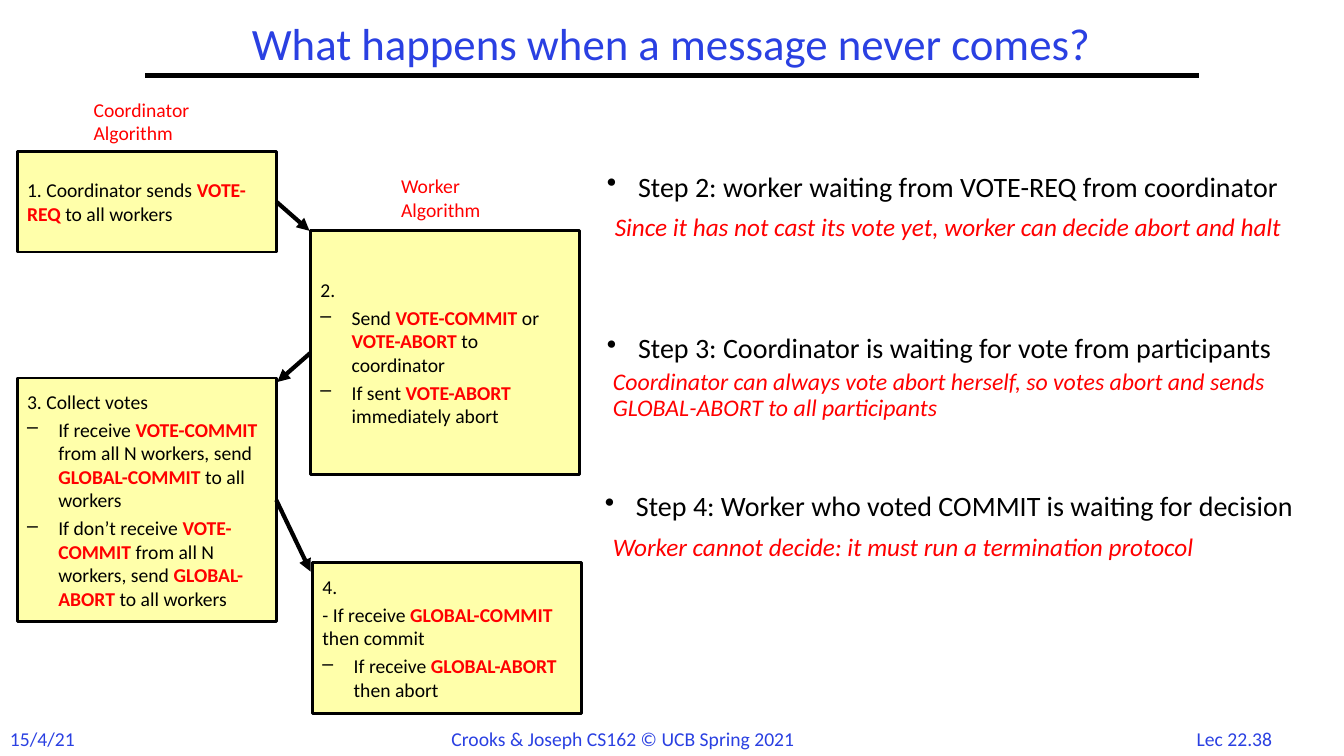
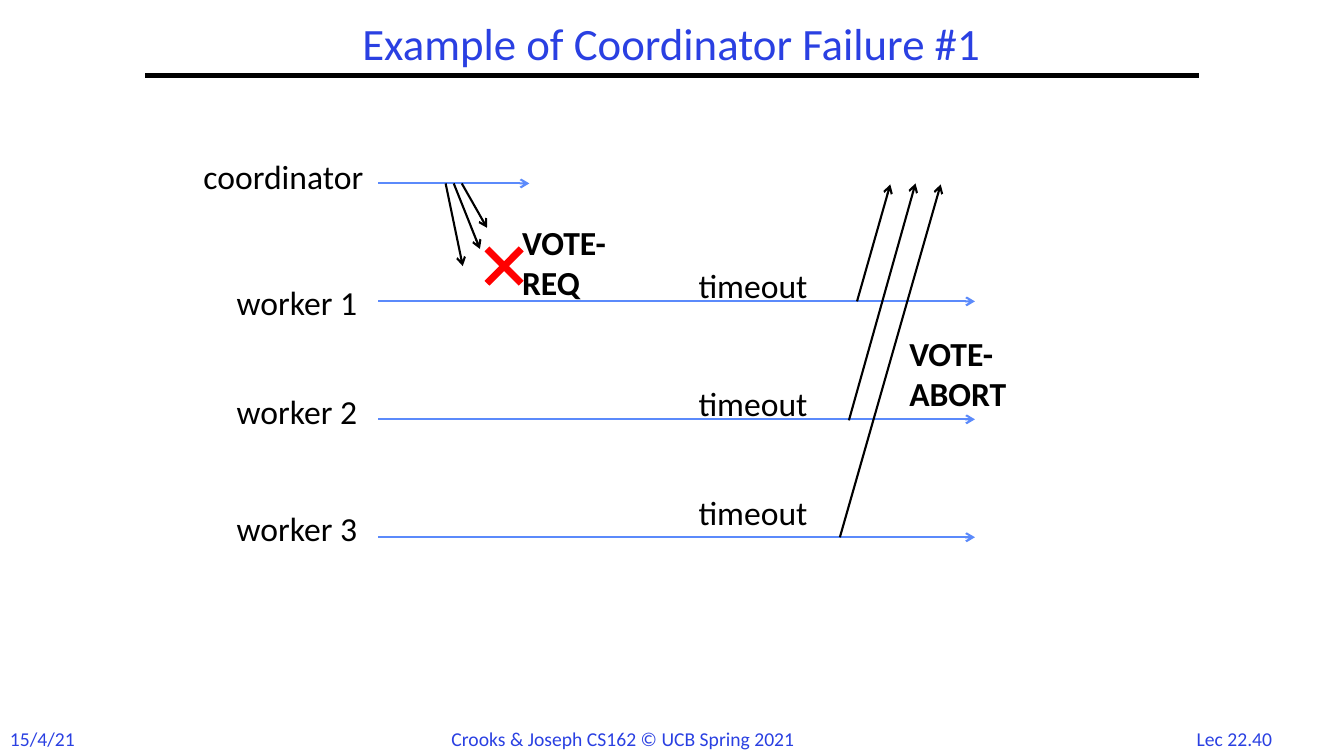
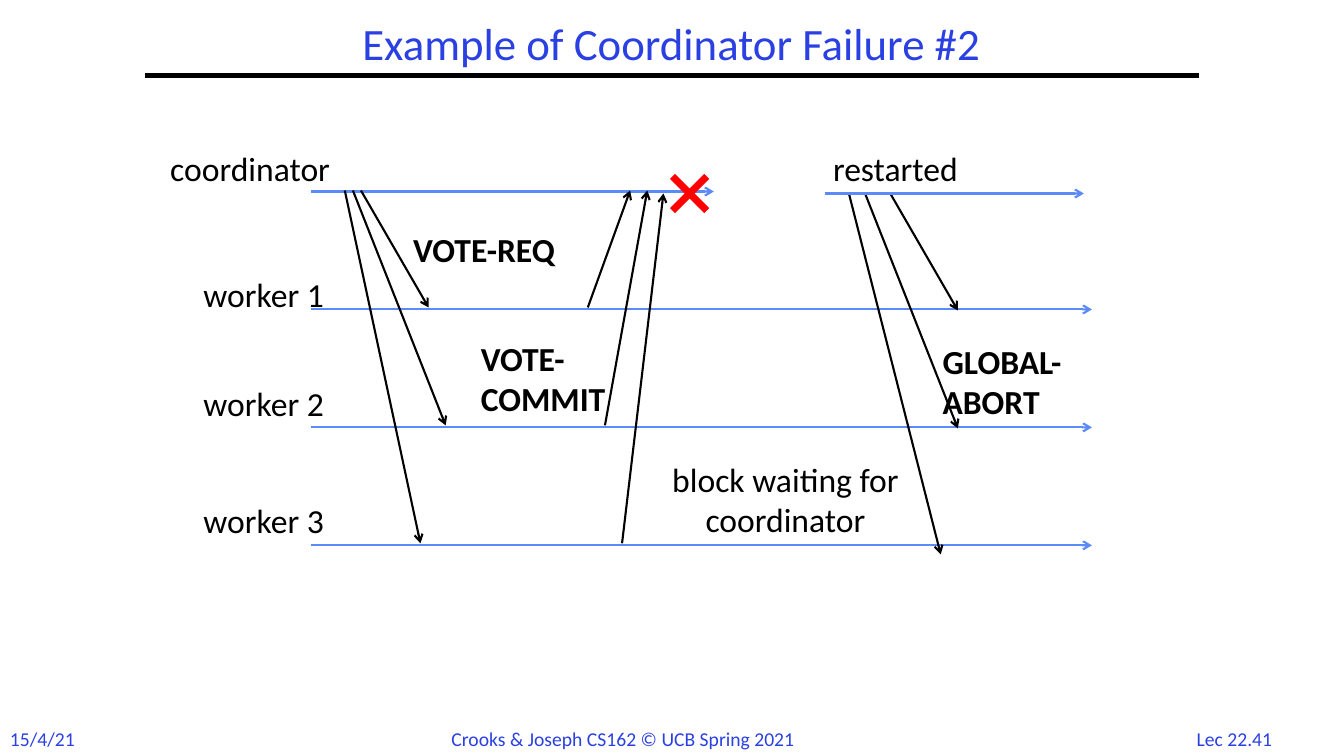
from lxml.etree import SubElement
from pptx import Presentation
from pptx.dml.color import RGBColor
from pptx.enum.shapes import MSO_CONNECTOR, MSO_SHAPE
from pptx.enum.text import MSO_ANCHOR, PP_ALIGN
from pptx.oxml.ns import qn
from pptx.util import Inches, Pt

rgb = RGBColor.from_string
BLACK, RED, BLUE, LANE_BLUE, YELLOW = "000000", "FF0000", "2A40E2", "5B8AFB", "FFFFAA"
FONT = "Calibri"
LEFT, CENTER = PP_ALIGN.LEFT, PP_ALIGN.CENTER


def write(shape, paragraphs, size, color=BLACK, bold=False, italic=False, align=LEFT,
          anchor=MSO_ANCHOR.TOP, spacing=None, wrap=True):
    """Fill a shape with text: *stars* mark bold red, a leading – or • makes a bullet."""
    frame = shape.text_frame
    frame.word_wrap = wrap
    frame.vertical_anchor = anchor
    for i, text in enumerate(paragraphs):
        paragraph = frame.paragraphs[0] if i == 0 else frame.add_paragraph()
        if text[0] in "–•":
            properties = paragraph._p.get_or_add_pPr()
            properties.set("marL", str(Inches(0.31)))
            properties.set("indent", str(-Inches(0.31)))
            SubElement(properties, qn("a:buChar")).set("char", text[0])
            text = text[2:]
        paragraph.alignment = align
        if spacing:
            paragraph.line_spacing = spacing
        if i > 0:
            paragraph.space_before = Pt(3)
        for j, part in enumerate(text.split("*")):
            if not part:
                continue
            marked = j % 2 == 1
            run = paragraph.add_run()
            run.text = part
            run.font.name = FONT
            run.font.size = Pt(size)
            run.font.bold = bold or marked
            run.font.italic = italic
            run.font.color.rgb = rgb(RED if marked else color)


def draw_line(slide, ends, color, width, arrowhead=None):
    line = slide.shapes.add_connector(MSO_CONNECTOR.STRAIGHT, *map(Inches, ends))
    line.line.color.rgb = rgb(color)
    line.line.width = Pt(width)
    properties = line._element.spPr
    if arrowhead:
        SubElement(properties.find(qn("a:ln")), qn("a:tailEnd")).set("type", arrowhead)
    SubElement(properties, qn("a:effectLst"))
    return line


deck = Presentation()
deck.slide_width, deck.slide_height = Inches(13.33), Inches(7.5)

# Shared title, rule and footer
slides = []
for title, number in [
    ("What happens when a message never comes?", "Lec 22.38"),
    ("Example of Coordinator Failure #1", "Lec 22.40"),
    ("Example of Coordinator Failure #2", "Lec 22.41"),
]:
    slide = deck.slides.add_slide(deck.slide_layouts[6])
    slides.append(slide)
    heading = slide.shapes.add_textbox(*map(Inches, (1.44, 0.17, 10.44, 0.58)))
    write(heading, [title], 32, BLUE, align=CENTER, anchor=MSO_ANCHOR.MIDDLE, spacing=0.9)
    draw_line(slide, (1.44, 0.75, 11.89, 0.75), BLACK, 3)
    for left, width, text in [
        (0, 0.85, "15/4/21"),
        (4.38, 3.63, "Crooks & Joseph CS162 © UCB Spring 2021"),
        (11.77, 1.08, number),
    ]:
        footer = slide.shapes.add_textbox(*map(Inches, (left, 7.16, width, 0.34)))
        write(footer, [text], 14, BLUE, wrap=False)

# Slide 1: the steps of both algorithms
protocol = slides[0]
steps = []
for place, paragraphs in [
    ((0.17, 1.5, 2.57, 1), ["1. Coordinator sends *VOTE-REQ *to all workers"]),
    ((3.08, 2.29, 2.67, 2.42), [
        "2.",
        "– Send *VOTE-COMMIT *or *VOTE-ABORT *to coordinator",
        "– If sent *VOTE-ABORT *immediately abort",
    ]),
    ((0.17, 3.75, 2.57, 2.42), [
        "3. Collect votes",
        "– If receive *VOTE-COMMIT *from all N workers, send *GLOBAL-COMMIT* to all workers",
        "– If don’t receive *VOTE-COMMIT *from all N workers, send *GLOBAL-ABORT *to all workers",
    ]),
    ((3.1, 5.58, 2.67, 1.5), [
        "4.",
        "- If receive *GLOBAL-COMMIT *then commit",
        "– If receive *GLOBAL-ABORT *then abort",
    ]),
]:
    step = protocol.shapes.add_shape(MSO_SHAPE.RECTANGLE, *map(Inches, place))
    step.shadow.inherit = False
    step.fill.solid()
    step.fill.fore_color.rgb = rgb(YELLOW)
    step.line.color.rgb = rgb(BLACK)
    step.line.width = Pt(2)
    write(step, paragraphs, 14, anchor=MSO_ANCHOR.MIDDLE)
    steps.append(step)

for place, text in [
    ((0.83, 0.92, 1.17, 0.57), "Coordinator Algorithm"),
    ((3.88, 1.68, 1.08, 0.57), "Worker Algorithm"),
]:
    write(protocol.shapes.add_textbox(*map(Inches, place)), [text], 14, RED)

# Arrows leave the middle of a step's side
for step, side, ends in [
    (steps[0], 3, (2.74, 2, 3.07, 2.29)),
    (steps[1], 1, (3.08, 3.5, 2.75, 3.79)),
    (steps[2], 3, (2.74, 4.96, 3.08, 5.67)),
]:
    draw_line(protocol, ends, BLACK, 3, "triangle").begin_connect(step, side)

# Slide 1: what to do at each wait
for left, top, case in [
    (5.92, 1.63, "• Step 2: worker waiting from VOTE-REQ from coordinator"),
    (5.92, 3.23, "• Step 3: Coordinator is waiting for vote from participants"),
    (5.9, 4.8, "• Step 4: Worker who voted COMMIT is waiting for decision"),
]:
    write(protocol.shapes.add_textbox(*map(Inches, (left, top, 7.3, 0.61))), [case], 20)

for left, top, width, size, spacing, answer in [
    (6, 2.05, 7.3, 18, None,
     "Since it has not cast its vote yet, worker can decide abort and halt"),
    (5.98, 3.62, 6.85, 17, 0.9,
     "Coordinator can always vote abort herself, so votes abort and sends "
     "GLOBAL-ABORT to all participants"),
    (5.98, 5.22, 7.3, 18, None, "Worker cannot decide: it must run a termination protocol"),
]:
    reply = protocol.shapes.add_textbox(*map(Inches, (left, top, width, 0.61)))
    write(reply, [answer], size, RED, italic=True, spacing=spacing)

# Slides 2 and 3: timelines with messages between coordinator and workers
LANE_GAP = 1.17
ACTORS = [(1.92, 1.5, "coordinator"), (2.25, 2.75, "worker 1"),
          (2.25, 3.83, "worker 2"), (2.25, 4.99, "worker 3")]

failures = [
    {
        "slide": slides[1],
        "actor_shift": (0, 0),
        "lanes": (3.75, 1.82, [5.25, 9.67, 9.67, 9.67]),
        "messages": [
            (4.58, 1.82, 4.83, 2.26), (4.5, 1.82, 4.76, 2.47), (4.42, 1.82, 4.59, 2.64),
            (8.5, 2.99, 8.83, 1.83), (8.42, 4.17, 9.08, 1.82), (8.33, 5.33, 9.33, 1.83),
        ],
        "crash": (4.83, 2.47),
        "message_names": [
            ((5.08, 2.15, 1.33, 0.91), "VOTE-REQ"),
            ((8.92, 3.25, 1.33, 0.91), "VOTE-ABORT"),
        ],
        "events": [((6.83, top, 2, 0.51), LEFT, "timeout") for top in (2.58, 3.75, 4.83)],
    },
    {
        "slide": slides[2],
        "actor_shift": (-0.33, -0.08),
        "lanes": (3.08, 1.9, [7.08, 10.83, 10.83, 10.83]),
        "messages": [
            (3.58, 1.89, 4.25, 3.05), (3.5, 1.89, 4.42, 4.22), (3.42, 1.89, 4.17, 5.39),
            (5.83, 3.05, 6.25, 1.89), (6, 4.22, 6.42, 1.89), (6.17, 5.39, 6.58, 1.92),
            (8.83, 1.92, 9.5, 3.08), (8.58, 1.92, 9.5, 4.25), (8.42, 1.92, 9.33, 5.5),
        ],
        "crash": (6.67, 1.75),
        "message_names": [
            ((4, 2.22, 1.67, 0.51), "VOTE-REQ"),
            ((4.67, 3.3, 1.75, 0.91), "VOTE-COMMIT"),
            ((9.25, 3.33, 2, 0.91), "GLOBAL-ABORT"),
        ],
        "events": [
            ((6, 4.5, 3.58, 0.91), CENTER, "block waiting for coordinator"),
            ((7.42, 1.42, 2.92, 0.51), CENTER, "restarted"),
        ],
    },
]

for failure in failures:
    slide = failure["slide"]

    # Timelines and their owners
    start, first_lane, lane_ends = failure["lanes"]
    for i, end in enumerate(lane_ends):
        y = first_lane + i * LANE_GAP
        draw_line(slide, (start, y, end, y), LANE_BLUE, 1.5, "arrow")
    dx, dy = failure["actor_shift"]
    for left, top, actor in ACTORS:
        owner = slide.shapes.add_textbox(*map(Inches, (left + dx, top + dy, 2.2, 0.51)))
        write(owner, [actor], 24)

    # Messages and events
    for ends in failure["messages"]:
        draw_line(slide, ends, BLACK, 1.5, "arrow")
    for place, name in failure["message_names"]:
        write(slide.shapes.add_textbox(*map(Inches, place)), [name], 24, bold=True)
    for place, align, event in failure["events"]:
        write(slide.shapes.add_textbox(*map(Inches, place)), [event], 24, align=align)

    # Red cross where the coordinator fails
    x, y = failure["crash"]
    size = 0.34
    draw_line(slide, (x, y, x + size, y + size), RED, 5)
    draw_line(slide, (x + size, y, x, y + size), RED, 5)

# The coordinator's second timeline, after its restart
draw_line(slides[2], (8.18, 1.92, 10.75, 1.92), LANE_BLUE, 1.5, "arrow")

deck.save("out.pptx")
